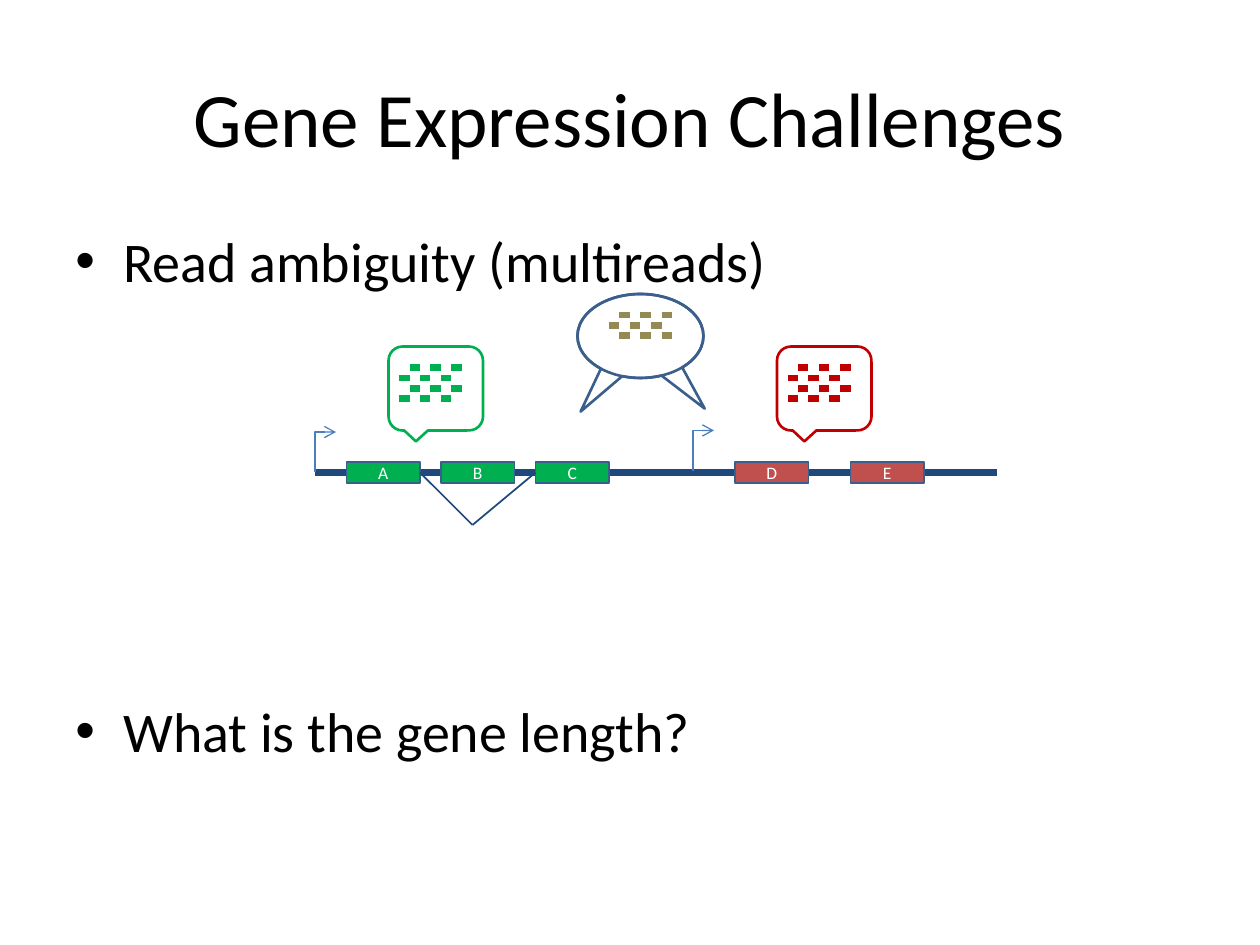
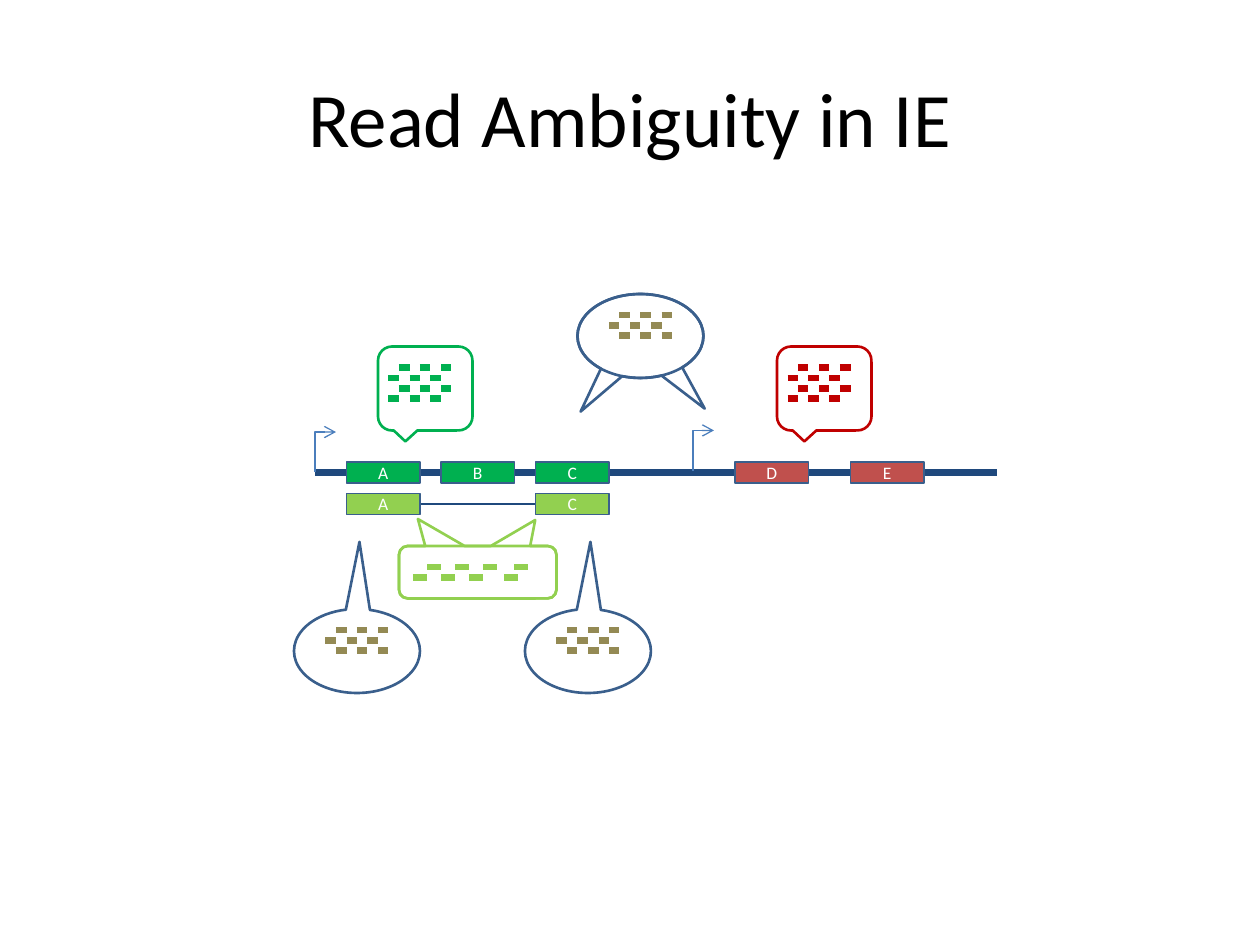
from dataclasses import dataclass, replace

from lxml import etree
from pptx import Presentation
from pptx import util as u
from pptx.dml.color import RGBColor
from pptx.enum import shapes, text
from pptx.oxml.ns import qn

COLUMNS, ROWS = 120, 90
SLIDE_WIDTH, SLIDE_HEIGHT = u.Inches(10), u.Inches(7.5)
FONT = "Calibri"
COLOURS = {
    "ink": "000000",
    "label": "FFFFFF",
    "genome": "1F497D",
    "outline": "3A5F8C",
    "promoter": "4B7EBC",
    "gene 1": "00B050",
    "gene 2": "C0504D",
    "gene 2 reads": "C00000",
    "isoform": "92D050",
    "multireads": "948A54",
}
EXON_COLUMNS, EXON_ROWS = 7, 2
GENOME_ROW = 45
ISOFORM_ROW = 48
READ_POINTS = 4

Point = tuple[float, float]


@dataclass(frozen=True)
class Exon:
    name: str
    column: float
    colour: str
    middle_row: float = GENOME_ROW


@dataclass(frozen=True)
class ReadBubble:
    """A callout; reads holds the start columns for each successive row."""
    column: float
    row: float
    columns: float
    rows: float
    outline: str
    read_colour: str
    reads: tuple[tuple[float, ...], ...]
    tails: tuple[Point, ...]
    kind: shapes.MSO_SHAPE = shapes.MSO_SHAPE.ROUNDED_RECTANGULAR_CALLOUT
    read_length: float = 1


GENE_EXONS = (
    Exon("A", 33, "gene 1"),
    Exon("B", 42, "gene 1"),
    Exon("C", 51, "gene 1"),
    Exon("D", 70, "gene 2"),
    Exon("E", 81, "gene 2"),
)
ISOFORM_EXONS = tuple(
    replace(exon, colour="isoform", middle_row=ISOFORM_ROW)
    for exon in GENE_EXONS if exon.name in "AC"
)
PROMOTERS = ((30, 41.15), (66, 41))

GENE_1_READS = ReadBubble(37, 33, 9, 8, "gene 1", "gene 1",
                          ((2, 4, 6), (1, 3, 5)) * 2, ((-0.21, 0.63),))
GENE_2_READS = replace(GENE_1_READS, column=74, outline="gene 2 reads",
                       read_colour="gene 2 reads")
SHARED_READS = ReadBubble(55, 28, 12, 8, "outline", "multireads",
                          ((4, 6, 8), (3, 5, 7), (4, 6, 8)),
                          ((-0.475, 0.9), (0.51, 0.865)),
                          shapes.MSO_SHAPE.OVAL_CALLOUT)
EXON_A_READS = replace(SHARED_READS, column=28, row=58, tails=((0.02, -1.3),))
EXON_C_READS = replace(EXON_A_READS, column=50)
JUNCTION_READS = ReadBubble(38, 52, 15, 5, "isoform", "isoform",
                            ((2.67, 5.33, 8, 11), (1.33, 4, 6.67, 10)),
                            ((-0.38, -1.015), (0.365, -0.995)),
                            read_length=1.33)


def across(columns: float) -> int:
    return round(SLIDE_WIDTH * columns / COLUMNS)


def down(rows: float) -> int:
    return round(SLIDE_HEIGHT * rows / ROWS)


def box(column: float, row: float, columns: float, rows: float) -> tuple[int, ...]:
    return across(column), down(row), across(columns), down(rows)


def rgb(colour: str) -> RGBColor:
    return RGBColor.from_string(COLOURS[colour])


def style_font(font, points: float, colour: str) -> None:
    font.name = FONT
    font.size = u.Pt(points)
    font.color.rgb = rgb(colour)


def style_line(line, colour: str, points: float) -> None:
    line.color.rgb = rgb(colour)
    line.width = u.Pt(points)


def draw_line(slide, start: Point, end: Point, colour: str, points: float,
              kind=shapes.MSO_CONNECTOR.STRAIGHT):
    line = slide.shapes.add_connector(kind, across(start[0]), down(start[1]),
                                      across(end[0]), down(end[1]))
    style_line(line.line, colour, points)
    etree.SubElement(line.element.spPr, qn("a:effectLst"))
    return line


def draw_promoter(slide, column: float, top: float) -> None:
    """Draw an arrow that rises from the genome and then turns right."""
    rise, run = 3.85, 2
    middle_column, middle_row = column + run / 2, top + rise / 2
    # The bend is laid out lying down, then turned a quarter clockwise.
    arrow = draw_line(slide,
                      (middle_column + rise / 2, middle_row + run / 2),
                      (middle_column - rise / 2, middle_row - run / 2),
                      "promoter", 0.75, shapes.MSO_CONNECTOR.ELBOW)
    properties = arrow.element.spPr
    properties.find(qn("a:xfrm")).set("rot", str(90 * 60000))
    properties.find(qn("a:prstGeom")).set("prst", "bentConnector2")
    etree.SubElement(properties.find(qn("a:ln")), qn("a:tailEnd"), type="arrow")


def draw_exon(slide, exon: Exon) -> None:
    block = slide.shapes.add_shape(
        shapes.MSO_SHAPE.RECTANGLE,
        *box(exon.column, exon.middle_row - EXON_ROWS / 2, EXON_COLUMNS, EXON_ROWS))
    block.shadow.inherit = False
    block.fill.solid()
    block.fill.fore_color.rgb = rgb(exon.colour)
    style_line(block.line, "outline", 0.75)
    frame = block.text_frame
    frame.margin_top = frame.margin_bottom = 0
    frame.vertical_anchor = text.MSO_ANCHOR.MIDDLE
    frame.text = exon.name
    label = frame.paragraphs[0]
    label.alignment = text.PP_ALIGN.CENTER
    style_font(label.runs[0].font, 10, "label")


def draw_bubble(slide, bubble: ReadBubble) -> None:
    """Draw the reads, then one outline for each tail."""
    for row, starts in enumerate(bubble.reads, bubble.row + 2):
        for start in starts:
            left = bubble.column + start
            draw_line(slide, (left, row), (left + bubble.read_length, row),
                      bubble.read_colour, READ_POINTS)
    for tail in bubble.tails:
        callout = slide.shapes.add_shape(
            bubble.kind, *box(bubble.column, bubble.row, bubble.columns, bubble.rows))
        callout.shadow.inherit = False
        callout.fill.background()
        style_line(callout.line, bubble.outline, 1.5)
        for index, share in enumerate(tail):
            callout.adjustments[index] = share


def draw_splice(slide, row: float, middle_row: float) -> None:
    """Join exons A and C, meeting halfway at middle_row."""
    for column in (40, 51):
        draw_line(slide, (column, row), (45, middle_row), "genome", 1)


def draw_genome(slide) -> None:
    draw_line(slide, (30, GENOME_ROW), (95, GENOME_ROW), "genome", 4)
    for exon in GENE_EXONS:
        draw_exon(slide, exon)
    for column, top in PROMOTERS:
        draw_promoter(slide, column, top)


def add_title(slide, words: str) -> None:
    frame = slide.shapes.add_textbox(*box(6, 3.6, 108, 15)).text_frame
    frame.word_wrap = True
    frame.vertical_anchor = text.MSO_ANCHOR.MIDDLE
    frame.text = words
    title = frame.paragraphs[0]
    title.alignment = text.PP_ALIGN.CENTER
    style_font(title.runs[0].font, 44, "ink")


def add_challenges(slide, challenges: tuple[str, ...]) -> None:
    """List the challenges, leaving room for the diagram between them."""
    frame = slide.shapes.add_textbox(*box(6, 21, 108, 59.4)).text_frame
    frame.word_wrap = True
    frame.text = "\n".join(challenges)
    indent = u.Inches(0.38)
    for index, challenge in enumerate(frame.paragraphs):
        properties = challenge._p.get_or_add_pPr()
        properties.set("marL", str(indent))
        properties.set("indent", str(-indent))
        if index:
            challenge.space_before = u.Pt(230)
        etree.SubElement(properties, qn("a:buFont"), typeface="Arial")
        etree.SubElement(properties, qn("a:buChar"), char="•")
        style_font(challenge.runs[0].font, 32, "ink")


def new_slide(deck, title: str):
    slide = deck.slides.add_slide(deck.slide_layouts[6])
    add_title(slide, title)
    return slide


def build_challenges(deck) -> None:
    slide = new_slide(deck, "Gene Expression Challenges")
    add_challenges(slide, ("Read ambiguity (multireads)", "What is the gene length?"))
    draw_genome(slide)
    draw_splice(slide, GENOME_ROW, 50)
    for bubble in (GENE_1_READS, GENE_2_READS, SHARED_READS):
        draw_bubble(slide, bubble)


def build_isoform_ambiguity(deck) -> None:
    slide = new_slide(deck, "Read Ambiguity in IE")
    draw_genome(slide)
    draw_splice(slide, ISOFORM_ROW, ISOFORM_ROW)
    for exon in ISOFORM_EXONS:
        draw_exon(slide, exon)
    for bubble in (replace(GENE_1_READS, column=36), GENE_2_READS, JUNCTION_READS,
                   EXON_C_READS, SHARED_READS, EXON_A_READS):
        draw_bubble(slide, bubble)


def main() -> None:
    deck = Presentation()
    deck.slide_width, deck.slide_height = SLIDE_WIDTH, SLIDE_HEIGHT
    build_challenges(deck)
    build_isoform_ambiguity(deck)
    deck.save("out.pptx")


if __name__ == "__main__":
    main()
